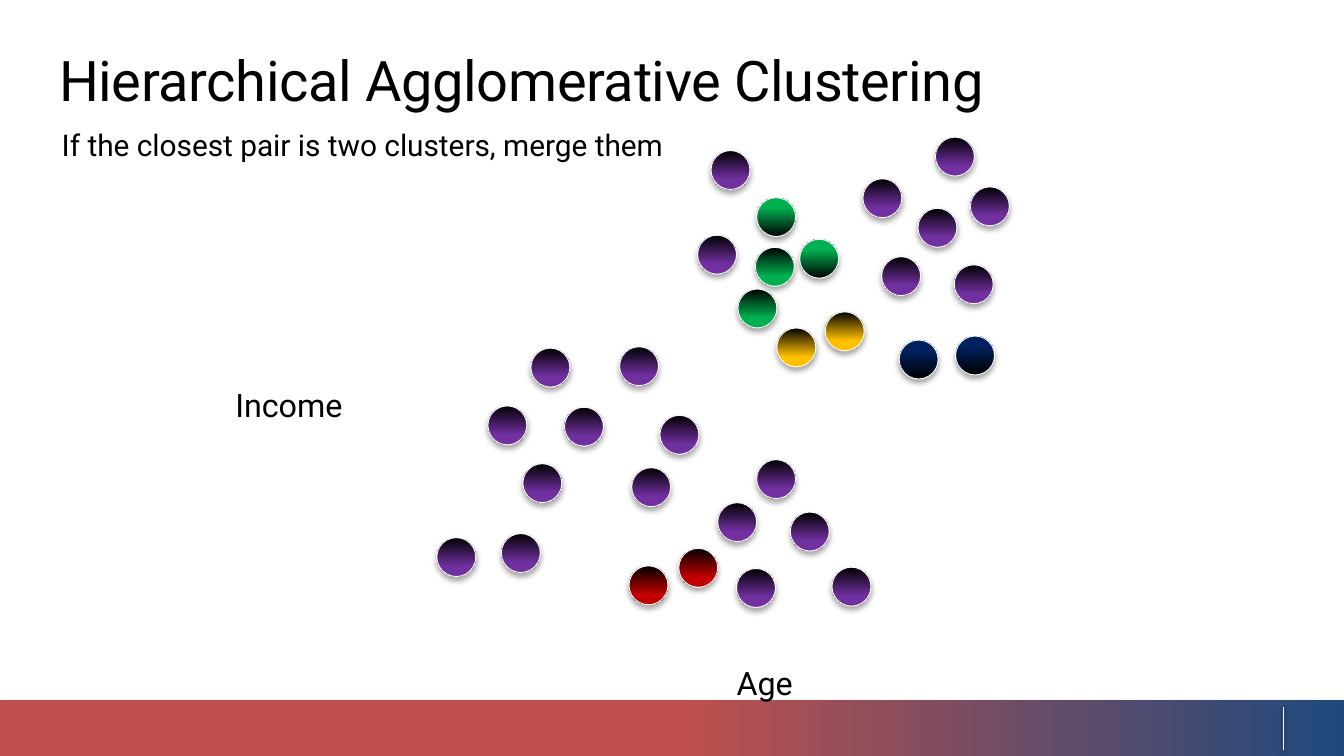
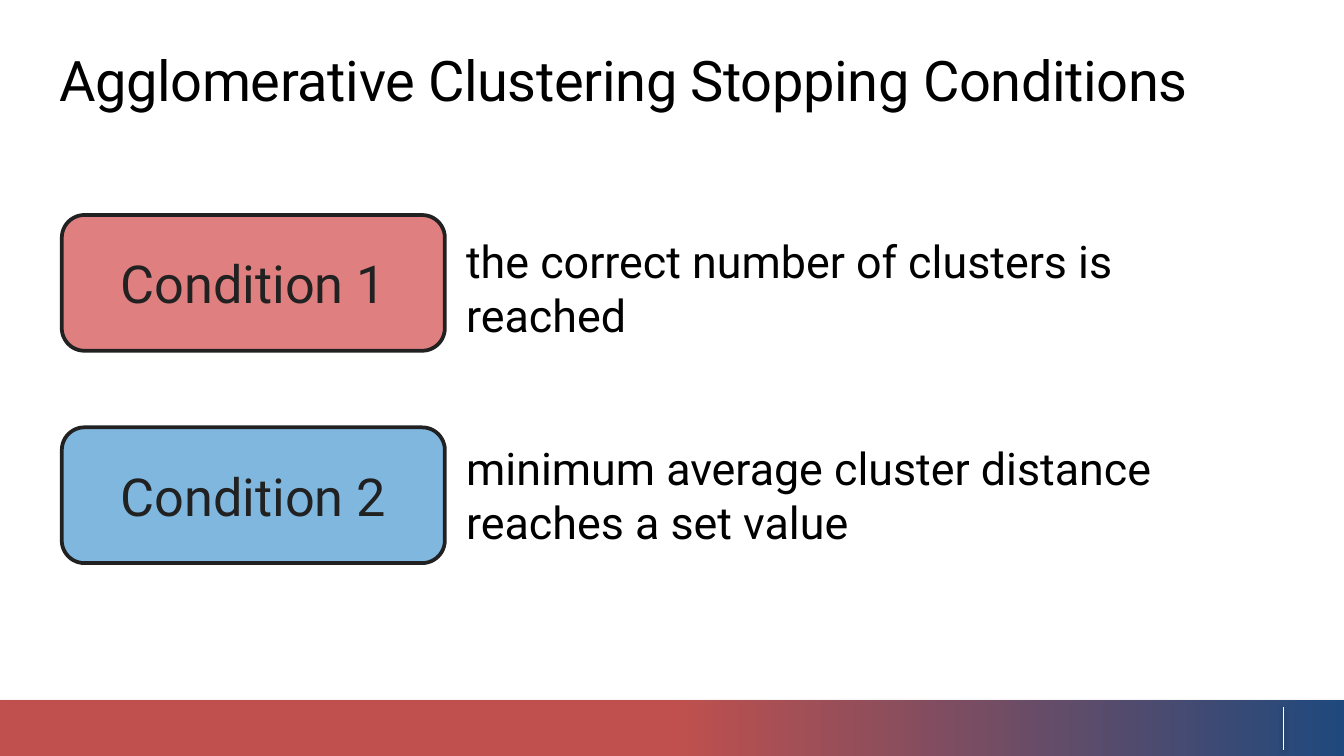
from dataclasses import dataclass

from lxml import etree
from pptx import Presentation
from pptx import util as u
from pptx.dml.color import RGBColor
from pptx.enum import shapes, text
from pptx.oxml.ns import qn


@dataclass(frozen=True)
class Theme:
    font: str = "Roboto"
    black: str = "000000"
    white: str = "FFFFFF"
    ink: str = "212121"
    band_blue: str = "1F497D"
    band_red: str = "C0504D"
    purple: str = "7030A0"
    green: str = "00B050"
    gold: str = "FFC000"
    navy: str = "002060"
    red: str = "C00000"
    blue: str = "0070C0"
    title: float = 30
    label: float = 28
    body: float = 24
    axis: float = 17.3
    note: float = 16


T = Theme()
WIDTH = u.Inches(10)
HEIGHT = WIDTH * 9 // 16
CELL = WIDTH / 10  # square grid, ten columns wide
ROWS = HEIGHT / CELL
DOT = 0.29
LEFT = 0.46
INSET = (0.1, 0.05)

# Top-left corners of the dots, in cells; lit ones are coloured at the top.
POINTS = [
    (T.purple, False, [
        (5.29, 1.12), (5.19, 1.75), (7.1, 1.97), (6.56, 1.91), (6.83, 1.55),
        (7.22, 1.39), (6.96, 1.02), (6.42, 1.33), (3.25, 4), (3.63, 3.02),
        (3.95, 2.59), (4.2, 3.03), (4.61, 2.58), (4.91, 3.09), (4.7, 3.48),
        (3.89, 3.45), (3.73, 3.97), (5.34, 3.74), (5.63, 3.42), (5.88, 3.81),
        (5.48, 4.23), (6.19, 4.22)]),
    (T.green, True, [(5.63, 1.47), (5.95, 1.78)]),
    (T.green, False, [(5.62, 1.84), (5.49, 2.15)]),
    (T.gold, False, [(6.14, 2.32), (5.78, 2.44)]),
    (T.navy, True, [(6.69, 2.53), (7.11, 2.5)]),
    (T.red, False, [(4.68, 4.21), (5.05, 4.08)]),
]

# Label, colour, top of its box, explanation, top and width of the explanation.
CONDITIONS = [
    ("Condition 1", T.red, 1.6,
     "the correct number of clusters is reached", 1.69, 5.77),
    ("Condition 2", T.blue, 3.18,
     "minimum average cluster distance reaches a set value", 3.23, 5.64),
]


def cells(*values):
    return [round(v * CELL) for v in values]


def rgb(value):
    return RGBColor.from_string(value)


def apply(obj, formats):
    for name, value in formats.items():
        setattr(obj, name, value)


def write(sp, words, size, color=T.black, inset=(0, 0),
          anchor=text.MSO_ANCHOR.TOP, **paragraph):
    tf = sp.text_frame
    x, y = cells(*inset)
    apply(tf, dict(word_wrap=True, auto_size=text.MSO_AUTO_SIZE.NONE,
                   vertical_anchor=anchor, margin_left=x, margin_right=x,
                   margin_top=y, margin_bottom=y))
    p = tf.paragraphs[0]
    apply(p, dict(alignment=text.PP_ALIGN.LEFT) | paragraph)
    r = p.add_run()
    r.text = words
    apply(r.font, dict(name=T.font, size=u.Pt(size)))
    r.font.color.rgb = rgb(color)
    return r


def add_text(s, box, words, size, **formats):
    write(s.shapes.add_textbox(*cells(*box)), words, size, **formats)


def add_shadow(sp, alpha, distance):
    """Drop a soft black shadow straight down; call after the line is set."""
    effects = etree.SubElement(sp.element.spPr, qn("a:effectLst"))
    shadow = etree.SubElement(
        effects, qn("a:outerShdw"), blurRad=str(u.Pt(3.1)),
        dist=str(u.Pt(distance)), dir="5400000", rotWithShape="0")
    color = etree.SubElement(shadow, qn("a:srgbClr"), val=T.black)
    etree.SubElement(color, qn("a:alpha"), val=str(alpha * 1000))


def add_gradient(s, kind, box, stops, angle, line=None):
    """Add a shaded, shadowed shape; stops are (position, colour) pairs."""
    sp = s.shapes.add_shape(kind, *cells(*box))
    sp.fill.gradient()
    sp.fill.gradient_angle = angle
    for stop, (position, color) in zip(sp.fill.gradient_stops, stops):
        stop.position = position
        stop.color.rgb = rgb(color)
    if line:
        sp.line.color.rgb = rgb(line)
        sp.line.width = u.Pt(0.5)
    else:
        sp.line.fill.background()
    add_shadow(sp, 35, 1.8)
    return sp


def add_footer(prs, s):
    """Draw the band and its tick on s, then move them to the master."""
    top = 5.21
    band = add_gradient(s, shapes.MSO_SHAPE.RECTANGLE,
                        (0, top, 10, ROWS - top),
                        [(0, T.band_blue), (0.5, T.band_red)], 180)
    tick = s.shapes.add_connector(shapes.MSO_CONNECTOR.STRAIGHT,
                                  *cells(9.55, 5.26, 9.55, 5.58))
    tick.line.color.rgb = rgb(T.white)
    tick.line.width = u.Pt(0.75)
    add_shadow(tick, 38, 1.6)
    for number, sp in enumerate((band, tick), 20):
        sp.element.xpath(".//p:cNvPr")[0].set("id", str(number))
        prs.slide_master.shapes.element.append(sp.element)


def add_slide(prs, title, height):
    s = prs.slides.add_slide(prs.slide_layouts[5])
    sp = s.shapes.title
    left, top, width, height = cells(0.44, 0.34, 9.23, height)
    apply(sp, dict(left=left, top=top, width=width, height=height))
    r = write(sp, title, T.title)
    r.font._element.set("spc", "-20")
    return s


def add_dot(s, x, y, color, lit):
    add_gradient(s, shapes.MSO_SHAPE.OVAL, (x, y, DOT, DOT),
                 [(0, T.black), (0.74, color)], 90 if lit else 270, T.white)


def add_condition(s, label, color, top, words, words_top, words_width):
    add_text(s, (3.37, words_top, words_width, 0.9), words, T.body,
             inset=INSET)
    sp = s.shapes.add_shape(shapes.MSO_SHAPE.ROUNDED_RECTANGLE,
                            *cells(LEFT, top, 2.85, 1.01))
    sp.shadow.inherit = False
    sp.fill.solid()
    sp.fill.fore_color.rgb = rgb(color)
    tint = sp.element.spPr.find(qn("a:solidFill"))[0]
    etree.SubElement(tint, qn("a:alpha"), val="50000")
    sp.line.color.rgb = rgb(T.ink)
    sp.line.width = u.Pt(2)
    write(sp, label, T.label, T.ink, INSET, text.MSO_ANCHOR.MIDDLE,
          alignment=text.PP_ALIGN.CENTER)


def add_scatter(s):
    for words, box in (("Age", (3.88, 4.83, 3.62, 0.39)),
                       ("Income", (1.62, 2.76, 1.06, 0.39))):
        add_text(s, box, words, T.axis, alignment=text.PP_ALIGN.CENTER,
                 line_spacing=u.Pt(28.5))
    for color, lit, corners in POINTS:
        for x, y in corners:
            add_dot(s, x, y, color, lit)


def main():
    prs = Presentation()
    apply(prs, dict(slide_width=WIDTH, slide_height=HEIGHT))

    s = add_slide(prs, "Hierarchical Agglomerative Clustering", 0.5)
    add_footer(prs, s)
    add_scatter(s)
    add_text(s, (LEFT, 0.81, 5.46, 0.4),
             "If the closest pair is two clusters, merge them", T.note,
             line_spacing=1.5)

    s = add_slide(prs, "Agglomerative Clustering Stopping Conditions", 1)
    for condition in CONDITIONS:
        add_condition(s, *condition)

    prs.save("out.pptx")


if __name__ == "__main__":
    main()
